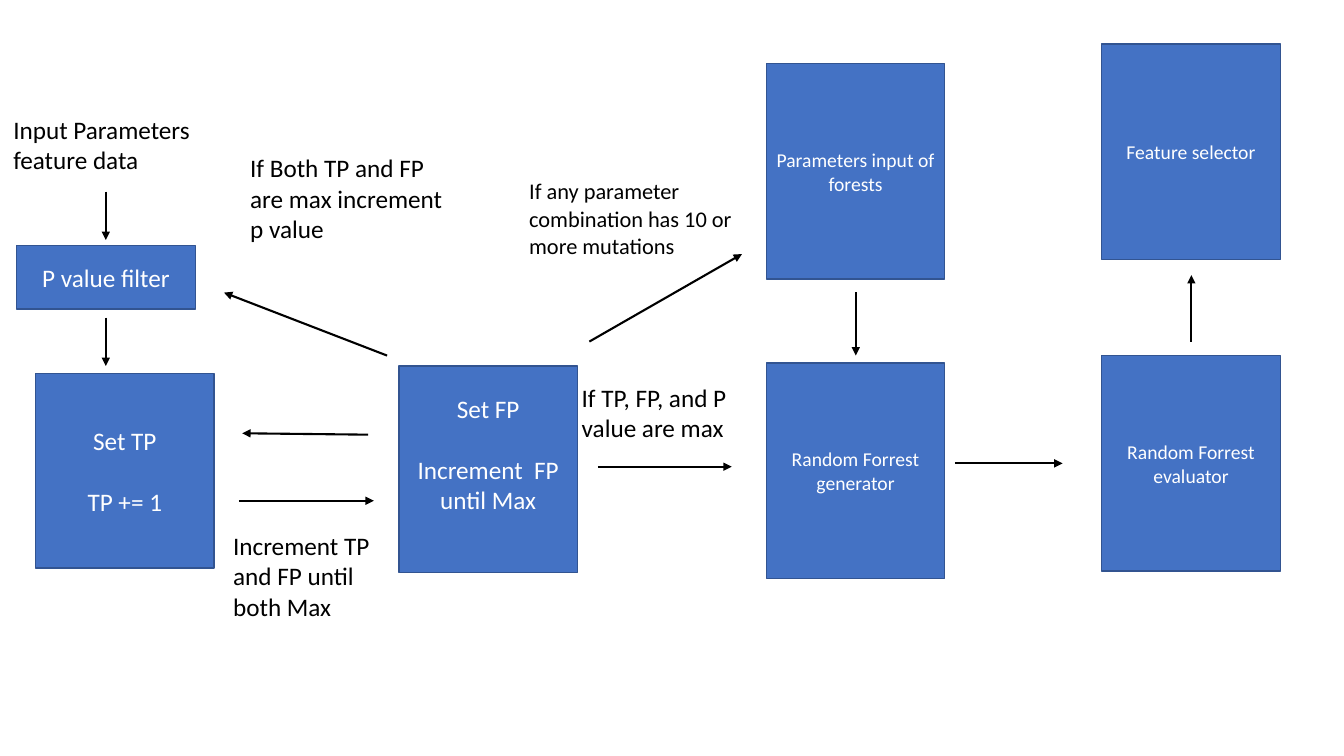
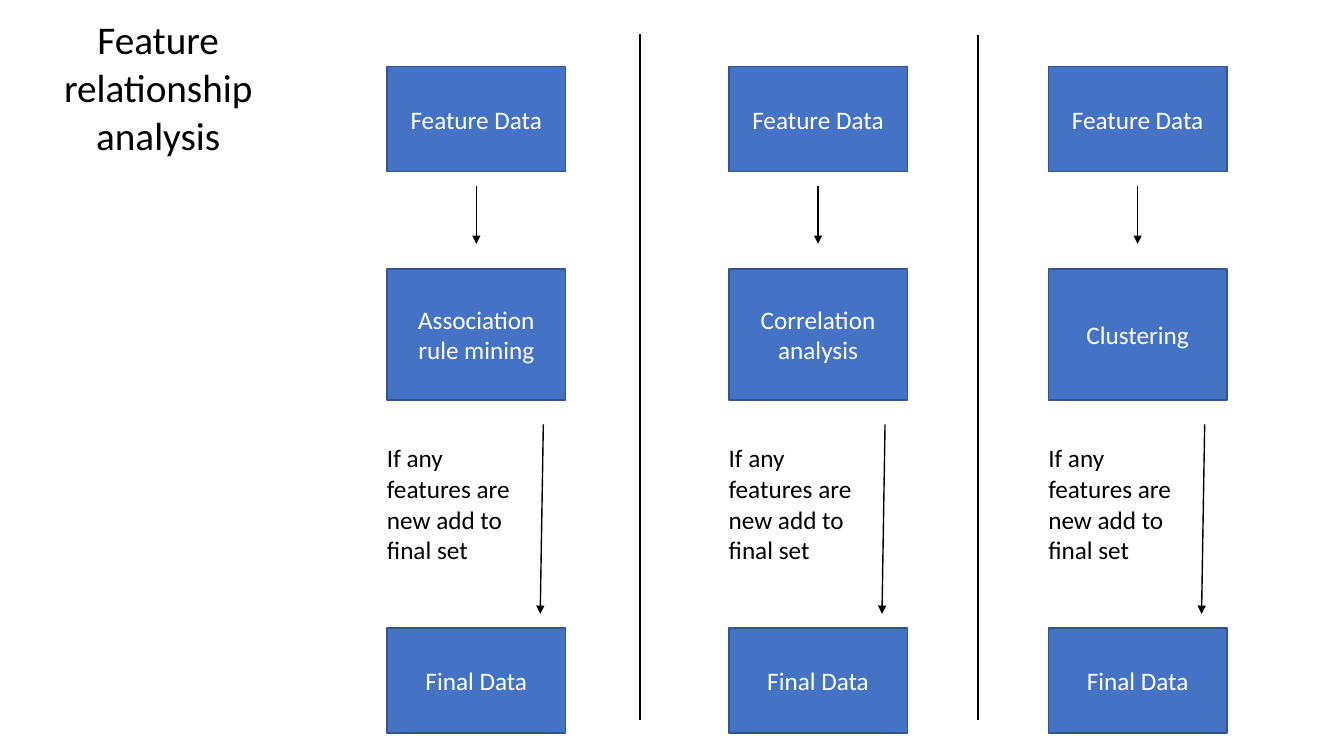
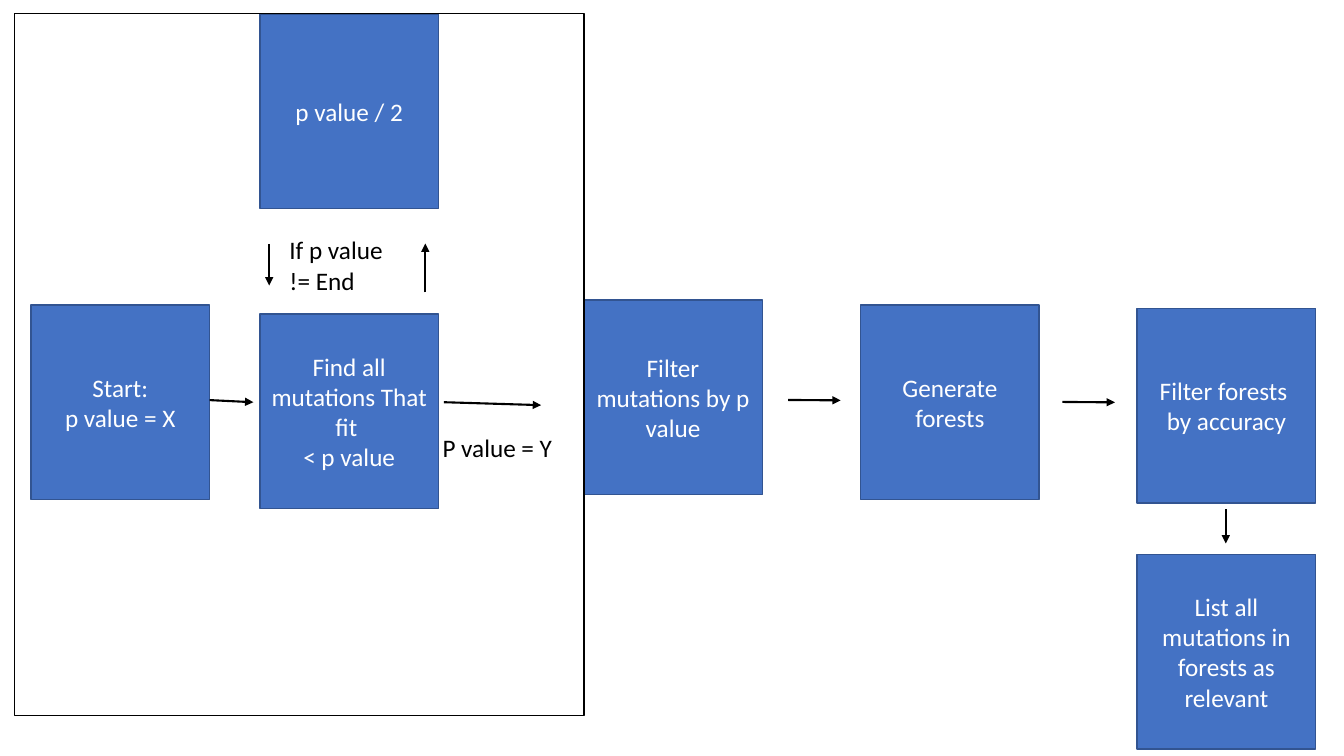
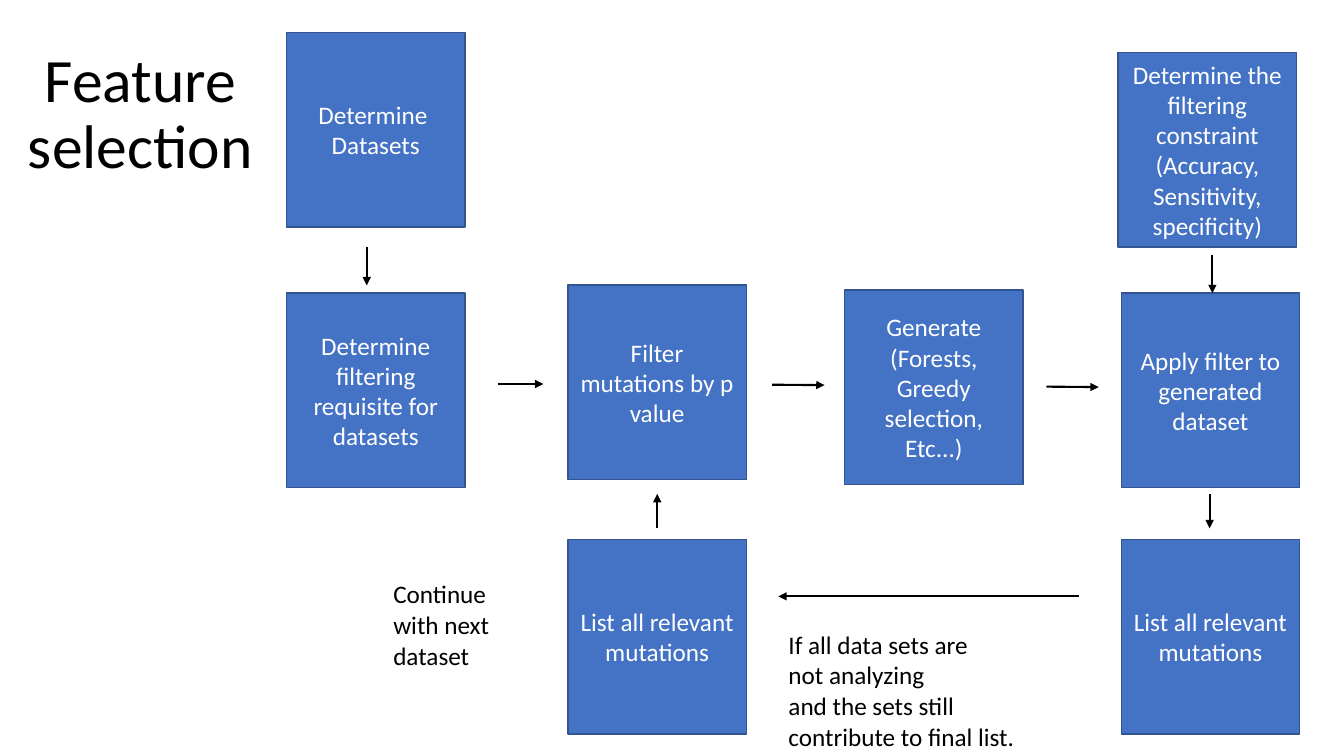
from dataclasses import dataclass

from lxml.etree import SubElement
from pptx import Presentation
from pptx.dml.color import RGBColor
from pptx.enum.shapes import MSO_CONNECTOR as Connector, MSO_SHAPE as Shape
from pptx.enum.text import MSO_ANCHOR as Anchor, MSO_AUTO_SIZE as AutoSize, PP_ALIGN as Align
from pptx.oxml.ns import qn
from pptx.util import Pt


@dataclass(frozen=True)
class Theme:
    font: str = "Calibri"
    ink: RGBColor = RGBColor(0, 0, 0)
    paper: RGBColor = RGBColor(255, 255, 255)
    box_fill: RGBColor = RGBColor(0x44, 0x72, 0xC4)
    box_line: RGBColor = RGBColor(0x32, 0x54, 0x91)
    title: float = 44
    heading: float = 28
    body: float = 18
    note: float = 16
    small: float = 14
    heavy: float = 1.5
    light: float = 1
    hairline: float = 0.75
    box_width: float = 127.5
    box_height: float = 139
    line_height: float = 22
    inset: float = 3.6


THEME = Theme()
TITLE_ONLY, BLANK = 5, 6
NO_GRID_STYLE = "{2D5ABB26-0587-4C30-8999-92F81FD0307C}"


def write(frame, text, *, size=THEME.body, color=THEME.ink, align=Align.LEFT, gap=0, spacing=1.0):
    frame.word_wrap = True
    for index, line in enumerate(text.split("\n")):
        para = frame.paragraphs[0] if index == 0 else frame.add_paragraph()
        para.alignment = align
        para.line_spacing = spacing
        para.space_before = Pt(gap if index else 0)
        for part_index, part in enumerate(line.split("\v")):
            if part_index:
                para.add_line_break()
            span = para.add_run()
            span.text = part
            span.font.name = THEME.font
            span.font.size = Pt(size)
            span.font.color.rgb = color


def add_page(deck, layout=BLANK):
    return deck.slides.add_slide(deck.slide_layouts[layout])


def set_title(page, text, left, top, width, height):
    title = page.shapes.title
    title.left, title.top, title.width, title.height = map(Pt, (left, top, width, height))
    frame = title.text_frame
    frame.auto_size = AutoSize.NONE
    frame.vertical_anchor = Anchor.MIDDLE
    write(frame, text, size=THEME.title, align=Align.CENTER, spacing=0.9)


def add_rectangle(page, left, top, width, height, line_color, line_width):
    box = page.shapes.add_shape(Shape.RECTANGLE, *map(Pt, (left, top, width, height)))
    box.shadow.inherit = False
    box.line.color.rgb = line_color
    box.line.width = Pt(line_width)
    return box


def add_box(page, text, left, top, height=THEME.box_height, *, lift=0, **style):
    box = add_rectangle(page, left, top, THEME.box_width, height, THEME.box_line, THEME.light)
    box.fill.solid()
    box.fill.fore_color.rgb = THEME.box_fill
    frame = box.text_frame
    frame.vertical_anchor = Anchor.MIDDLE
    frame.margin_bottom = Pt(THEME.inset + lift)
    write(frame, text, color=THEME.paper, align=Align.CENTER, **style)


def add_frame(page, left, top, width, height):
    add_rectangle(page, left, top, width, height, THEME.ink, THEME.hairline).fill.background()


def add_caption(page, text, left, top, width, height, **style):
    holder = page.shapes.add_table(1, 1, *map(Pt, (left, top, width, height)))
    next(holder.element.iter(qn("a:tableStyleId"))).text = NO_GRID_STYLE
    holder.table.first_row = False
    holder.table.horz_banding = False
    cell = holder.table.cell(0, 0)
    cell.fill.background()
    write(cell.text_frame, text, **style)


def add_line(page, start, end, *, weight=THEME.heavy):
    line = page.shapes.add_connector(Connector.STRAIGHT, *map(Pt, (*start, *end)))
    line.line.color.rgb = THEME.ink
    line.line.width = Pt(weight)
    SubElement(line.element.spPr, qn("a:effectLst"))
    return line


def add_arrow(page, start, end, **style):
    arrow = add_line(page, start, end, **style)
    SubElement(arrow.element.spPr.find(qn("a:ln")), qn("a:tailEnd"), type="triangle")


def add_arrows(page, arrows):
    for start, end in arrows:
        add_arrow(page, start, end)


def build_parameter_search(deck):
    page = add_page(deck)
    add_box(page, "P value filter", 12, 175.25, 45.5)
    add_box(page, "Set TP\nTP += 1", 25.4, 266.75, gap=THEME.line_height)
    add_box(page, "Set FP\nIncrement  FP until Max", 285, 261.5, 147.5,
            gap=THEME.line_height, lift=THEME.line_height)
    for text, left, top in (
        ("Parameters input of forests", 547.4, 45.4),
        ("Random Forrest generator", 547.4, 259.2),
        ("Random Forrest evaluator", 787, 254),
        ("Feature selector", 787, 31.5),
    ):
        add_box(page, text, left, top, 154, size=THEME.small)
    add_arrows(page, (
        ((75.6, 136.8), (75.6, 171.4)),
        ((75.6, 226.8), (75.6, 261.4)),
        ((170.6, 357.7), (267, 357.7)),
        ((263, 310.5), (173, 309.5)),
        ((276.5, 254), (160, 209)),
        ((421, 244), (530, 181.5)),
        ((427, 333.4), (522.7, 333.4)),
        ((611.3, 208.8), (611.3, 254)),
        ((682, 331), (759, 331)),
        ((851, 244), (851, 196.5)),
    ))
    add_caption(page, "Input Parameters\nfeature data", 2.3, 78.7, 164, 44)
    add_caption(page, "Increment TP and FP until both Max", 159.3, 375.8, 125, 88.5)
    add_caption(page, "If Both TP and FP are max increment p value", 171.5, 106, 154, 88.5)
    add_caption(page, "If TP, FP, and P value are max", 408.3, 270, 143, 88.5)
    add_caption(page, "If any parameter combination has 10 or more mutations ",
                370.8, 123.8, 171.5, 88.5, size=THEME.note)


def add_analysis_column(page, method, left):
    add_box(page, "Feature Data", left, 47.5, 75)
    add_box(page, method, left, 192.2, 93.6)
    add_box(page, "Final Data", left, 448.7, 75)
    center = left + THEME.box_width / 2
    add_arrow(page, (center, 133.2), (center, 174.2), weight=THEME.light)
    add_arrow(page, (left + 111.6, 303.2), (left + 109.4, 438.5), weight=THEME.light)
    add_caption(page, "If any features are new add to final set", left - 7.3, 313.2, 103, 124.5)


def build_relationship_analysis(deck):
    page = add_page(deck)
    for method, left in (
        ("Association rule mining", 276.5),
        ("Correlation analysis", 520.6),
        ("Clustering", 748.9),
    ):
        add_analysis_column(page, method, left)
    add_caption(page, "Feature relationship analysis", 10, 8.5, 206, 124.5,
                size=THEME.heading, align=Align.CENTER)
    for left, top in ((457, 24.5), (698.5, 25)):
        add_line(page, (left, top), (left, top + 489.6))


def build_forest_filter(deck):
    page = add_page(deck)
    for text, left, top in (
        ("Start:\vp value = X", 22.2, 218),
        ("Find all mutations That fit \n< p value", 185.7, 224.4),
        ("p value / 2", 185.7, 9.9),
        ("Filter mutations by p value", 417, 214.4),
        ("Generate forests", 614.8, 218),
        ("Filter forests \nby accuracy", 812.3, 220.2),
        ("List all mutations in forests as relevant", 812.3, 396),
    ):
        add_box(page, text, left, top)
    add_arrows(page, (
        ((149.8, 285.8), (181, 287.3)),
        ((192.3, 174.2), (192.3, 204)),
        ((303.8, 208.8), (303.8, 174)),
        ((317, 287.3), (386.5, 289.4)),
        ((563, 285.7), (600.5, 286)),
        ((758.8, 287.1), (796.4, 287.4)),
        ((875.6, 363.6), (875.6, 388.2)),
    ))
    add_caption(page, "If p value \n!= End ", 199.5, 164.8, 99.5, 29.5)
    add_caption(page, "P value = Y", 308.9, 305.8, 118, 29.5)
    add_frame(page, 10.5, 9.9, 406.7, 501)


def build_feature_selection(deck):
    page = add_page(deck, TITLE_ONLY)
    set_title(page, "Feature selection", 9.3, 23, 182, 119)
    for text, left, top in (
        ("Determine \nDatasets", 204.7, 23.2),
        ("Determine filtering requisite for datasets", 204.7, 209.3),
        ("Filter mutations by p value", 405.6, 203.7),
        ("Generate\n(Forests,\nGreedy selection,\nEtc...)", 603.3, 207.2),
        ("Determine the filtering constraint\n(Accuracy, Sensitivity, specificity)", 798.7, 37.5),
        ("Apply filter to generated dataset", 800.9, 209.3),
        ("List all relevant mutations", 800.9, 385.3),
        ("List all relevant mutations", 405.6, 385.3),
    ):
        add_box(page, text, left, top)
    add_arrows(page, (
        ((262, 176.4), (262, 203.8)),
        ((355.6, 274.3), (388.1, 274.3)),
        ((551.5, 274.8), (589, 275.1)),
        ((747.4, 276.2), (784.8, 276.5)),
        ((866, 182), (866, 209.4)),
        ((864, 352.7), (864, 377.4)),
        ((771, 426), (556, 426)),
        ((469.5, 377.5), (469.5, 352.8)),
    ))
    add_caption(page, "If all data sets are \nnot analyzing \nand the sets still \ncontribute to final list.",
                556, 446.5, 229, 29.5)
    add_caption(page, "Continue with next dataset", 273.7, 410.4, 116.5, 29.5)


def main():
    deck = Presentation()
    deck.slide_width, deck.slide_height = Pt(960), Pt(540)
    build_parameter_search(deck)
    build_relationship_analysis(deck)
    build_forest_filter(deck)
    build_feature_selection(deck)
    deck.save("out.pptx")


main()
